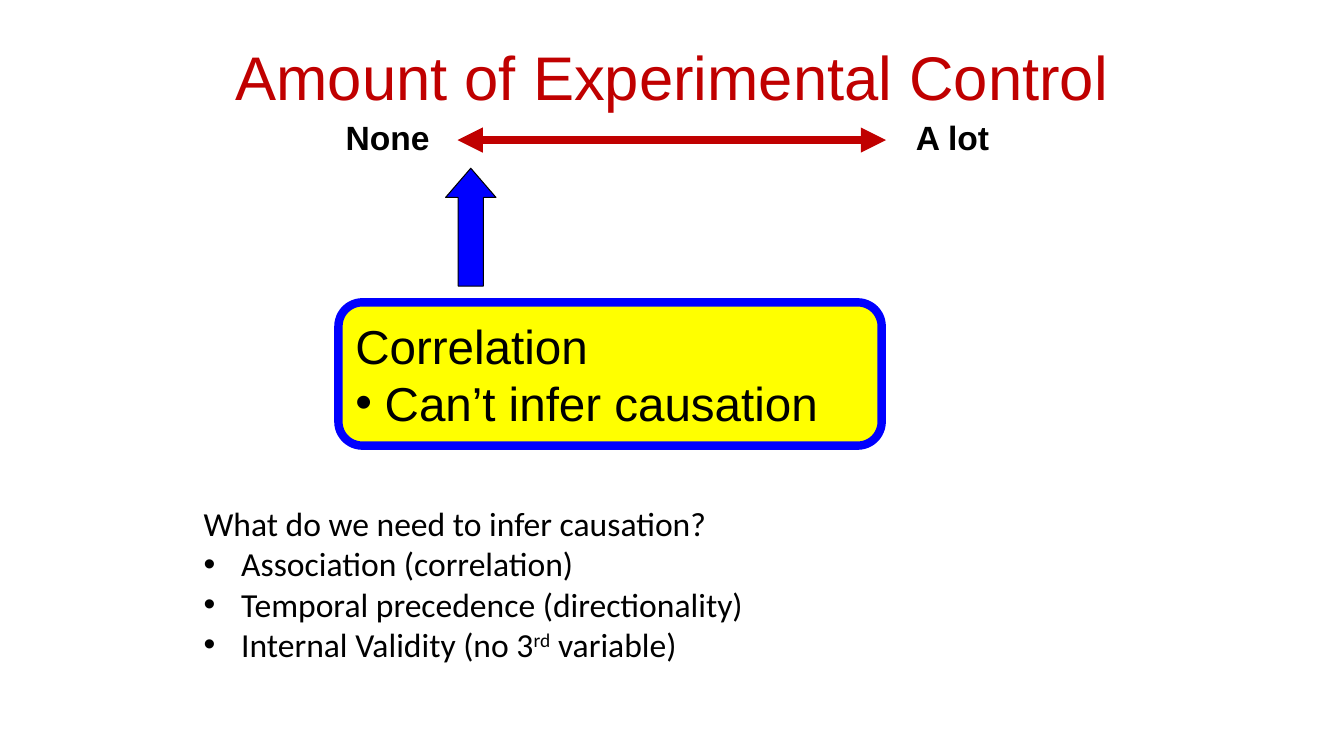
"""Build the slide on experimental control, correlation and causation."""
from lxml.etree import SubElement
from pptx import Presentation
from pptx.dml.color import RGBColor
from pptx.enum.shapes import MSO_CONNECTOR, MSO_SHAPE
from pptx.enum.text import MSO_ANCHOR, MSO_AUTO_SIZE, PP_ALIGN
from pptx.oxml.ns import qn
from pptx.util import Cm, Pt

COLORS = {"red": "C00000", "blue": "0000FF", "yellow": "FFFF00", "black": "000000"}


def format_text(frame, font_name, size, color="black", bold=False):
    for para in frame.paragraphs:
        for span in para.runs:
            span.font.name = font_name
            span.font.size = Pt(size)
            span.font.bold = bold
            span.font.color.rgb = RGBColor.from_string(COLORS[color])


def add_bullet(para, indent):
    properties = para._p.get_or_add_pPr()
    properties.set("marL", str(indent))
    properties.set("indent", str(-indent))
    SubElement(properties, qn("a:buFont"), typeface="Arial")
    SubElement(properties, qn("a:buChar"), char="•")


deck = Presentation()
deck.slide_width, deck.slide_height = Cm(33.87), Cm(19.05)
page = deck.slides.add_slide(deck.slide_layouts[5])

title = page.shapes.title
title.left, title.top, title.width, title.height = Cm(2.34), Cm(0.97), Cm(29.21), Cm(3.68)
title.text_frame.text = "Amount of Experimental Control"
title.text_frame.auto_size = MSO_AUTO_SIZE.NONE
title.text_frame.vertical_anchor = MSO_ANCHOR.TOP
title.text_frame.margin_top = Cm(0.23)
title.text_frame.paragraphs[0].alignment = PP_ALIGN.CENTER
title.text_frame.paragraphs[0].line_spacing = 0.9
format_text(title.text_frame, "Arial", 44, "red")

up_arrow = page.shapes.add_shape(MSO_SHAPE.UP_ARROW, Cm(11.23), Cm(4.24), Cm(1.27), Cm(2.97))
up_arrow.adjustments[1] = 0.58
correlation_box = page.shapes.add_shape(
    MSO_SHAPE.ROUNDED_RECTANGLE, Cm(8.53), Cm(7.62), Cm(13.69), Cm(3.61))
for shape, fill, line, width in (
    (up_arrow, "blue", "black", 0.75),
    (correlation_box, "yellow", "blue", 6),
):
    shape.shadow.inherit = False
    shape.fill.solid()
    shape.fill.fore_color.rgb = RGBColor.from_string(COLORS[fill])
    shape.line.color.rgb = RGBColor.from_string(COLORS[line])
    shape.line.width = Pt(width)

frame = correlation_box.text_frame
frame.text = "Correlation\nCan’t infer causation"
frame.word_wrap = True
frame.vertical_anchor = MSO_ANCHOR.MIDDLE
for para in frame.paragraphs:
    para.alignment = PP_ALIGN.LEFT
add_bullet(frame.paragraphs[1], Cm(0.74))
format_text(frame, "Arial", 34)

scale = page.shapes.add_connector(
    MSO_CONNECTOR.STRAIGHT, Cm(11.53), Cm(3.53), Cm(22.33), Cm(3.53))
scale.line.color.rgb = RGBColor.from_string(COLORS["red"])
scale.line.width = Pt(6)
for end in ("a:headEnd", "a:tailEnd"):
    SubElement(scale.line._get_or_add_ln(), qn(end), type="triangle")
SubElement(scale._element.spPr, qn("a:effectLst"))

for label, left in (("None", 8.46), ("A lot", 22.83)):
    box = page.shapes.add_textbox(Cm(left), Cm(2.82), Cm(2.63), Cm(1.27))
    box.text_frame.text = label
    box.text_frame.word_wrap = False
    format_text(box.text_frame, "Arial", 24, bold=True)

causation_box = page.shapes.add_textbox(Cm(4.88), Cm(12.55), Cm(14.25), Cm(4.37))
frame = causation_box.text_frame
frame.word_wrap = False
frame.text = "\n".join((
    "What do we need to infer causation?",
    "Association (correlation)",
    "Temporal precedence (directionality)",
    "Internal Validity (no 3",
))
for para in frame.paragraphs[1:]:
    add_bullet(para, Cm(0.95))
validity = frame.paragraphs[3]
ordinal = validity.add_run()
ordinal.text = "rd"
validity.add_run().text = " variable)"
format_text(frame, "Calibri", 24)
ordinal._r.get_or_add_rPr().set("baseline", "30000")

deck.save("out.pptx")
